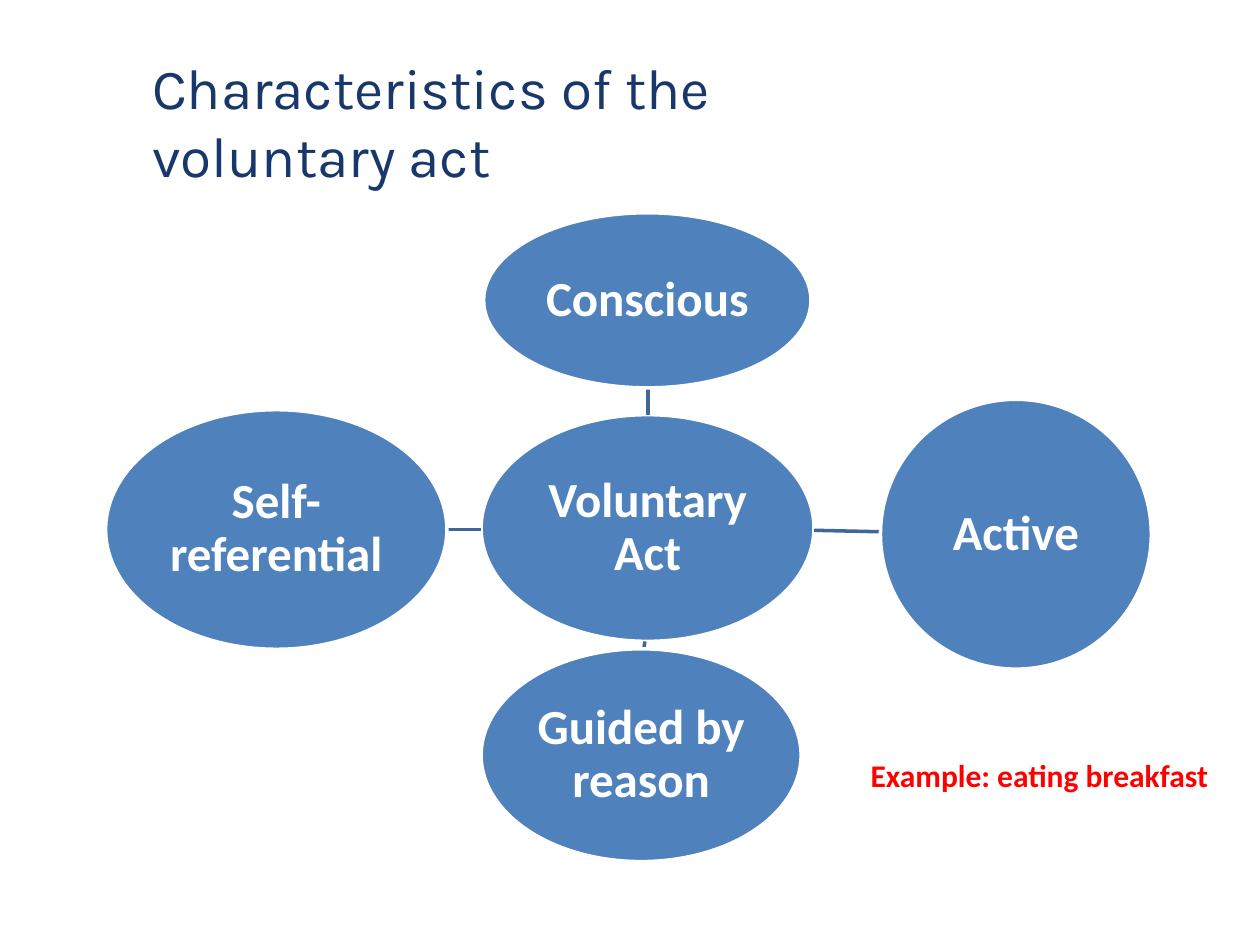
import pptx
import pptx.dml.color
import pptx.enum.shapes
import pptx.enum.text
import pptx.oxml
import pptx.util
from pptx.util import Cm

COLORS = {"title": "18376A", "ellipse": "4F81BD", "outline": "FFFFFF",
          "link": "3F6797", "label": "FFFFFF", "example": "FF0000"}
FORMATS = {
    "title": {"name": "Karla", "size": pptx.util.Pt(32.4), "bold": False},
    "label": {"name": "Calibri", "size": pptx.util.Pt(28), "bold": True},
    "example": {"name": "Calibri", "size": pptx.util.Pt(18), "bold": True},
}


def color(name):
    return pptx.dml.color.RGBColor.from_string(COLORS[name])


class DiagramSlide:
    """Holds the style and the slide being drawn."""

    line_width = pptx.util.Pt(2)
    inset = Cm(0.05)

    def __init__(self, slide):
        self.slide = slide

    def fill_paragraph(self, paragraph, text, style):
        paragraph.text = text
        for attribute, value in FORMATS[style].items():
            setattr(paragraph.font, attribute, value)
        paragraph.font.color.rgb = color(style)

    def text(self, box, text, style, wrap=True):
        frame = self.slide.shapes.add_textbox(*map(Cm, box)).text_frame
        frame.word_wrap = wrap
        frame.vertical_anchor = pptx.enum.text.MSO_ANCHOR.MIDDLE
        self.fill_paragraph(frame.paragraphs[0], text, style)

    def ellipse(self, box, text):
        shape = self.slide.shapes.add_shape(
            pptx.enum.shapes.MSO_SHAPE.OVAL, *map(Cm, box))
        shape.shadow.inherit = False
        shape.fill.solid()
        shape.fill.fore_color.rgb = color("ellipse")
        shape.line.color.rgb = color("outline")
        shape.line.width = self.line_width
        frame = shape.text_frame
        frame.word_wrap = True
        frame.vertical_anchor = pptx.enum.text.MSO_ANCHOR.MIDDLE
        for side in ("left", "top", "right", "bottom"):
            setattr(frame, f"margin_{side}", self.inset)
        paragraph = frame.paragraphs[0]
        self.fill_paragraph(paragraph, text, "label")
        paragraph.alignment = pptx.enum.text.PP_ALIGN.CENTER
        paragraph.line_spacing = 0.9

    def link(self, ends):
        connector = self.slide.shapes.add_connector(
            pptx.enum.shapes.MSO_CONNECTOR.STRAIGHT, *map(Cm, ends))
        connector.line.color.rgb = color("link")
        connector.line.width = self.line_width
        properties = connector._element.spPr
        properties.append(pptx.oxml.parse_xml(
            '<a:effectLst xmlns:a='
            '"http://schemas.openxmlformats.org/drawingml/2006/main"/>'))


def main():
    presentation = pptx.Presentation()
    presentation.slide_width = Cm(25.4)
    presentation.slide_height = Cm(19.05)
    slide = presentation.slides.add_slide(presentation.slide_layouts[6])
    diagram = DiagramSlide(slide)

    # Title
    diagram.text((2.82, 0.84, 17.2, 3.18),
                 "Characteristics of the \vvoluntary act", "title")

    # Hub
    diagram.ellipse((9.7, 8.36, 6.71, 4.57), "Voluntary Act")

    # Characteristics, each with its link from the hub
    characteristics = [
        ("Conscious", (9.75, 4.29, 6.6, 3.53), (13.06, 8.36, 13.06, 7.82)),
        ("Active", (17.75, 8.05, 5.46, 5.44), (16.41, 10.69, 17.75, 10.72)),
        ("Guided by reason", (9.7, 13.08, 6.45, 4.29),
         (13, 12.93, 12.98, 13.08)),
        ("Self-referential", (2.13, 8.26, 6.88, 4.83),
         (9.7, 10.67, 9.02, 10.67)),
    ]
    for text, box, ends in characteristics:
        diagram.link(ends)
        diagram.ellipse(box, text)

    # Example
    diagram.text((17.3, 15.11, 7.39, 1.02), "Example: eating breakfast",
                 "example", wrap=False)

    presentation.save("out.pptx")


if __name__ == "__main__":
    main()
